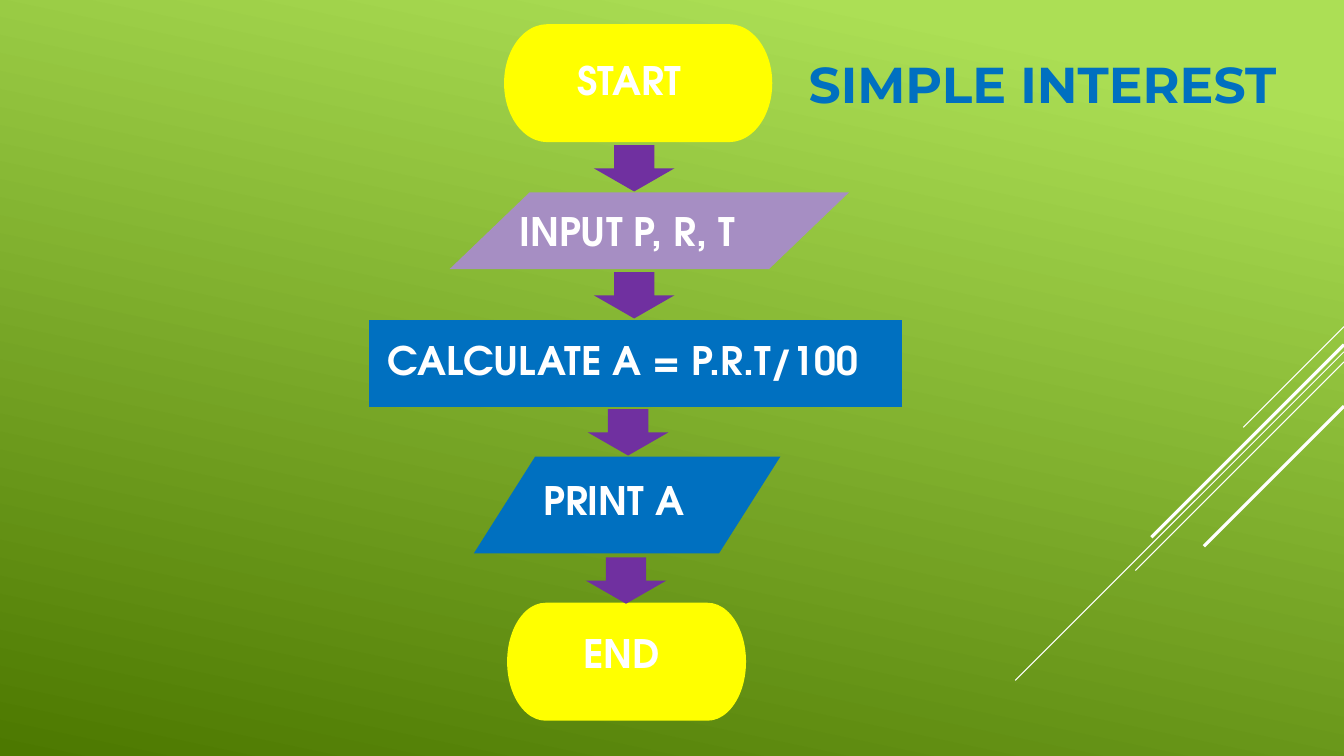
from dataclasses import dataclass

from lxml import etree
from pptx import Presentation
from pptx.dml.color import RGBColor as Rgb
from pptx.enum.shapes import MSO_CONNECTOR as Line, MSO_SHAPE as Kind
from pptx.enum.text import MSO_ANCHOR as Anchor, MSO_AUTO_SIZE as Auto, PP_ALIGN as Align
from pptx.oxml.ns import qn
from pptx.util import Inches, Pt


@dataclass(frozen=True)
class Theme:
    light: str = "ACDF55"
    dark: str = "4C7800"
    white: str = "FFFFFF"
    yellow: str = "FFFF00"
    purple: str = "7030A0"
    lilac: str = "A68EC3"
    blue: str = "0070C0"
    head: str = "Montserrat"
    body: str = "TeX Gyre Adventor"
    title: int = 36
    step: int = 28


theme = Theme()


def write(box, text, *, font=theme.body, size=theme.step, color=theme.white, align=Align.JUSTIFY):
    frame = box.text_frame
    frame.word_wrap = False
    frame.auto_size = Auto.SHAPE_TO_FIT_TEXT
    frame.vertical_anchor = Anchor.TOP
    para = frame.paragraphs[0]
    para.alignment = align
    run = para.add_run()
    run.text = text
    run.font.name, run.font.size, run.font.bold = font, Pt(size), True
    run.font.color.rgb = Rgb.from_string(color)


def draw(kind, place, color):
    shape = slide.shapes.add_shape(kind, *map(Inches, place))
    shape.shadow.inherit = False
    shape.fill.solid()
    shape.fill.fore_color.rgb = Rgb.from_string(color)
    shape.line.fill.background()


deck = Presentation()
deck.slide_width, deck.slide_height = Inches(13.33), Inches(7.5)
slide = deck.slides.add_slide(deck.slide_layouts[5])

# Background: light at the top right, dark at the bottom left
fill = slide.background.fill
fill.gradient()
fill.gradient_angle = 360 - 102
for stop, color, spot in zip(fill.gradient_stops, (theme.light, theme.dark), (0.1, 1)):
    stop.color.rgb = Rgb.from_string(color)
    stop.position = spot

# Diagonal rays from the right edge: start height, run, width
rays = [(3.24, 1, 0.75), (3.49, 3.26, 0.75), (3.59, 2.07, 0.75), (3.42, 1.91, 2.25), (4.03, 1.39, 2.25)]
for top, run, width in rays:
    ends = map(Inches, (13.33, top, 13.33 - run, top + run))
    ray = slide.shapes.add_connector(Line.STRAIGHT, *ends)
    ray.line.color.rgb = Rgb.from_string(theme.white)
    ray.line.width = Pt(width)
    etree.SubElement(ray._element.spPr, qn("a:effectLst"))

# Flowchart steps: shape, place, fill, label, label place
steps = [
    (Kind.FLOWCHART_TERMINATOR, (5, 0.24, 2.66, 1.17), theme.yellow, "START", (5.63, 0.51, 1.48)),
    (Kind.FLOWCHART_DATA, (4.46, 1.91, 3.96, 0.76), theme.lilac, "INPUT P, R, T", (5.05, 2.01, 2.71)),
    (Kind.FLOWCHART_PROCESS, (3.66, 3.17, 5.29, 0.87), theme.blue, "CALCULATE A = P.R.T/100", (3.75, 3.29, 5.16)),
    (Kind.FLOWCHART_DATA, (4.7, 4.53, 3.04, 0.96), theme.blue, "PRINT A", (5.29, 4.68, 1.79)),
    (Kind.FLOWCHART_TERMINATOR, (5.03, 5.98, 2.37, 1.17), theme.yellow, "END", (5.69, 6.19, 1.05)),
]
for kind, place, color, text, spot in steps:
    draw(kind, place, color)
    write(slide.shapes.add_textbox(*map(Inches, (*spot, 0.57))), text)

for left, top in [(5.89, 1.44), (5.89, 2.7), (5.83, 4.06), (5.81, 5.53)]:
    draw(Kind.DOWN_ARROW, (left, top, 0.8, 0.46), theme.purple)

title = slide.shapes.title
title.left, title.top, title.width, title.height = map(Inches, (7.92, 0.48, 5.31, 0.71))
write(title, "SIMPLE INTEREST", font=theme.head, size=theme.title, color=theme.blue, align=Align.LEFT)

deck.save("out.pptx")
